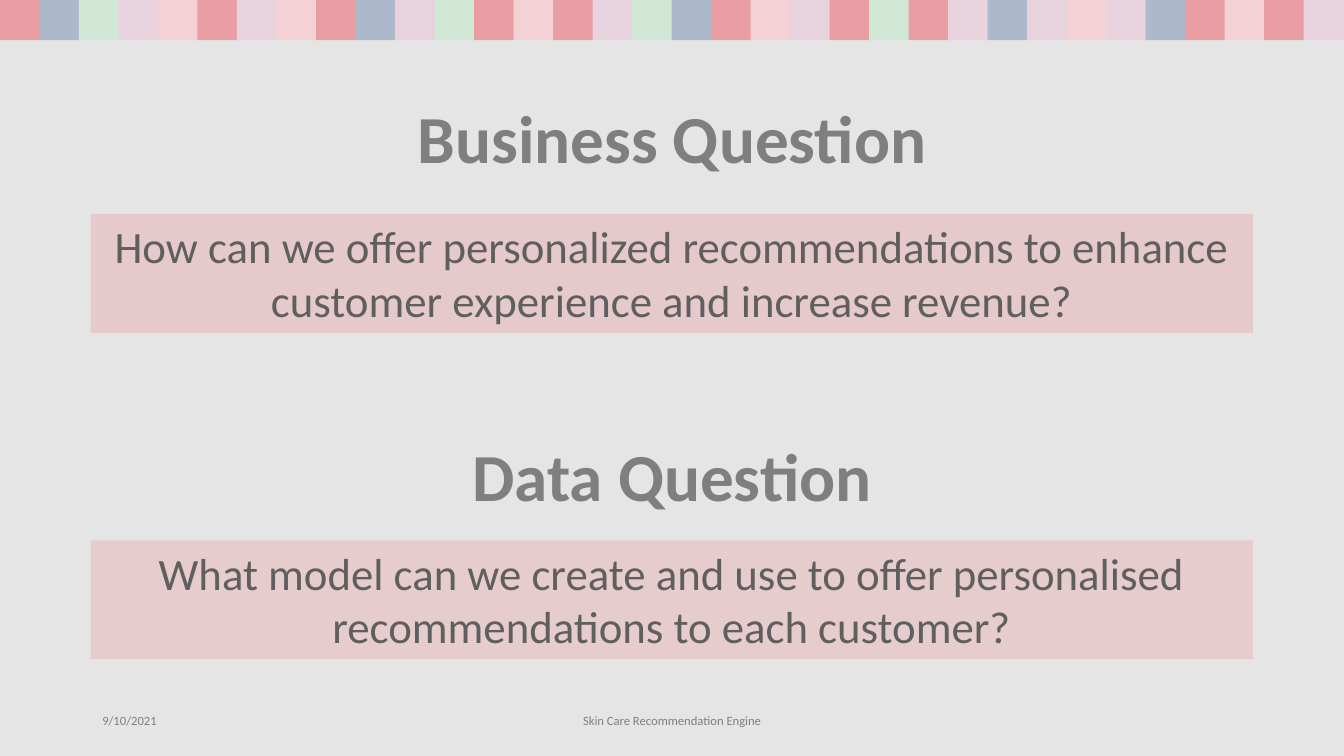
"""Build the slide that sets out the business question and the data question."""
from dataclasses import dataclass

from lxml.etree import SubElement
from pptx import Presentation
from pptx.dml.color import RGBColor
from pptx.enum.shapes import MSO_SHAPE
from pptx.enum.text import MSO_ANCHOR, MSO_AUTO_SIZE, PP_ALIGN
from pptx.oxml.ns import qn
from pptx.util import Pt


@dataclass(frozen=True)
class Theme:
    face: str = "Calibri"
    back: str = "E5E5E5"
    rose: str = "E89EA3"
    blue: str = "ADB9CA"
    green: str = "D0E8D5"
    lilac: str = "E7D2DD"
    pink: str = "F3D1D4"
    gray: str = "7F7F7F"
    dark: str = "5F5F5F"
    head: int = 48
    body: int = 32
    foot: int = 9


theme = Theme()


def block(left, top, width, height, color):
    """Add a filled rectangle without outline or shadow."""
    shape = slide.shapes.add_shape(
        MSO_SHAPE.RECTANGLE, Pt(left), Pt(top), Pt(width), Pt(height))
    shape.shadow.inherit = False
    shape.fill.solid()
    shape.fill.fore_color.rgb = RGBColor.from_string(color)
    shape.line.fill.background()
    return shape


def write(shape, text, size, color, align=PP_ALIGN.CENTER):
    """Set wrapped, middle-anchored text and return its paragraph."""
    frame = shape.text_frame
    frame.word_wrap = True
    frame.vertical_anchor = MSO_ANCHOR.MIDDLE
    para = frame.paragraphs[0]
    para.text = text
    para.alignment = align
    para.font.name = theme.face
    para.font.size = Pt(size)
    para.font.color.rgb = RGBColor.from_string(color)
    return para


deck = Presentation()
deck.slide_width, deck.slide_height = Pt(960), Pt(540)
slide = deck.slides.add_slide(deck.slide_layouts[6])
slide.background.fill.solid()
slide.background.fill.fore_color.rgb = RGBColor.from_string(theme.back)

hues = {"R": theme.rose, "B": theme.blue, "G": theme.green,
        "L": theme.lilac, "P": theme.pink}
strip = "RBGLPRLPRBLGRPRLGBRPLRGRLBLPLBRPRL"
side = 28.8
step = (960 - side) / (len(strip) - 1)
for spot, key in enumerate(strip):
    block(spot * step, 0, side, side, hues[key])

heads = [
    ("Business Question", 222.5, 49, 515.5),
    ("Data Question", 111, 290.3, 738),
]
for text, left, top, width in heads:
    box = slide.shapes.add_textbox(Pt(left), Pt(top), Pt(width), Pt(104.4))
    para = write(box, text, theme.head, theme.gray)
    para.font.bold = True
    para.line_spacing = 0.9

asks = [
    ("How can we offer personalized recommendations to enhance customer "
     "experience and increase revenue?", 153, 38),
    ("What model can we create and use to offer personalised "
     "recommendations to each customer?", 386, 35),
]
for text, top, alpha in asks:
    panel = block(64.8, top, 830.2, 84.8, theme.rose)
    tint = panel.fill._xPr.find(".//" + qn("a:srgbClr"))
    SubElement(tint, qn("a:alpha"), val=str(alpha * 1000))
    write(panel, text, theme.body, theme.dark)
    panel.text_frame.vertical_anchor = MSO_ANCHOR.TOP
    panel.text_frame.auto_size = MSO_AUTO_SIZE.SHAPE_TO_FIT_TEXT

feet = [
    ("9/10/2021", 66, 216, PP_ALIGN.LEFT),
    ("Skin Care Recommendation Engine", 318, 324, PP_ALIGN.CENTER),
]
for text, left, width, align in feet:
    box = slide.shapes.add_textbox(Pt(left), Pt(500.5), Pt(width), Pt(28.8))
    write(box, text, theme.foot, theme.gray, align)

deck.save("out.pptx")
